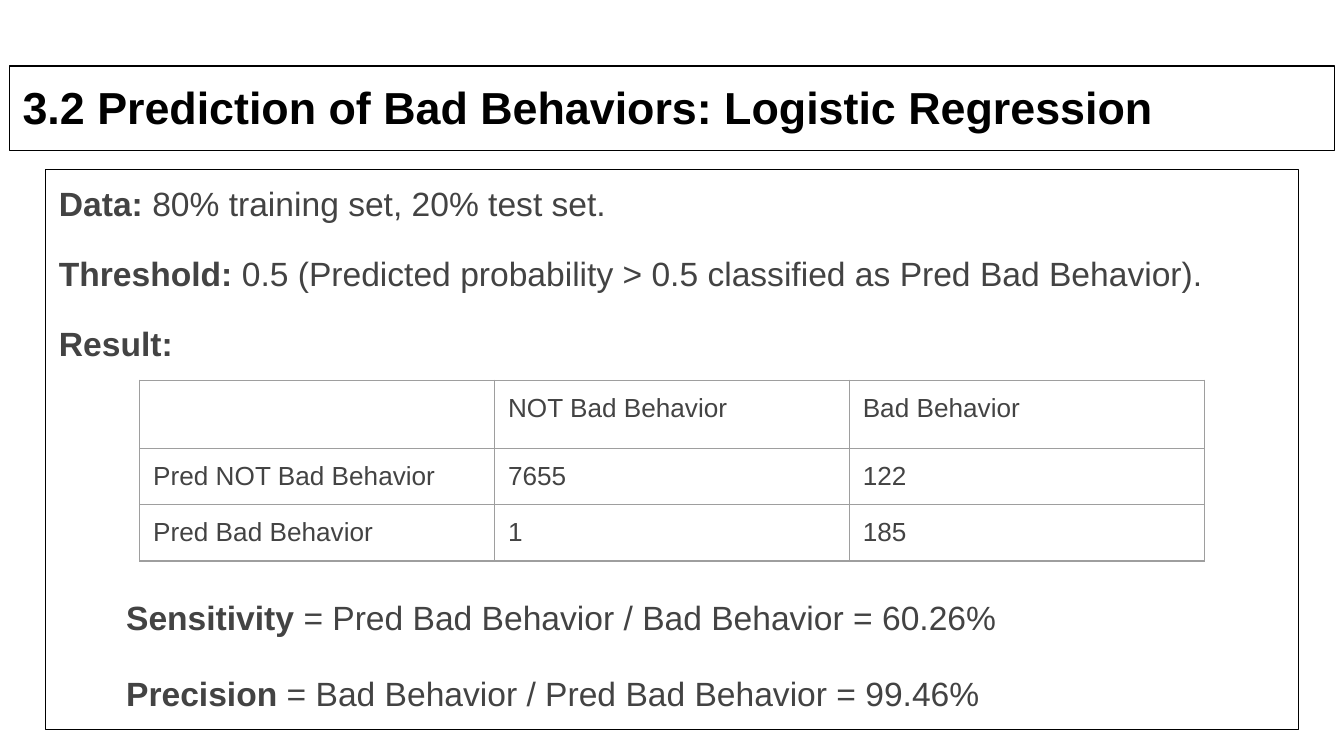
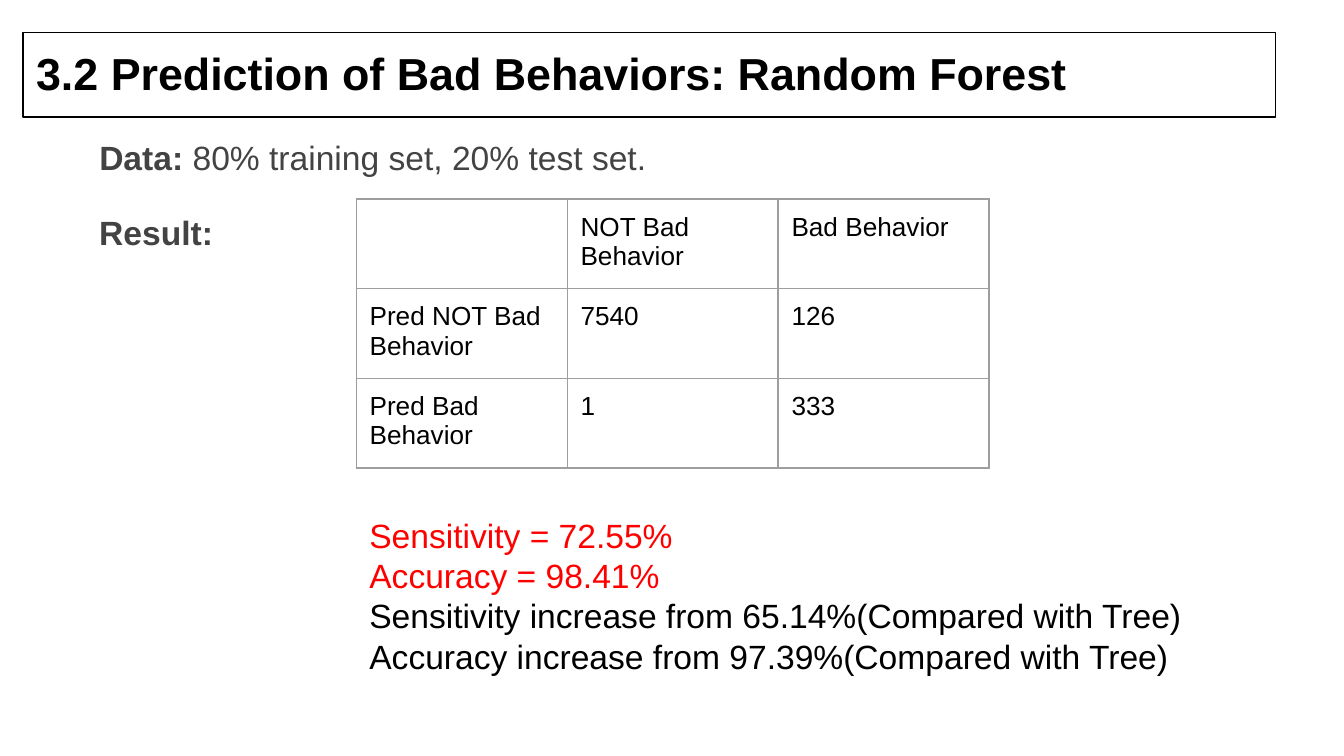
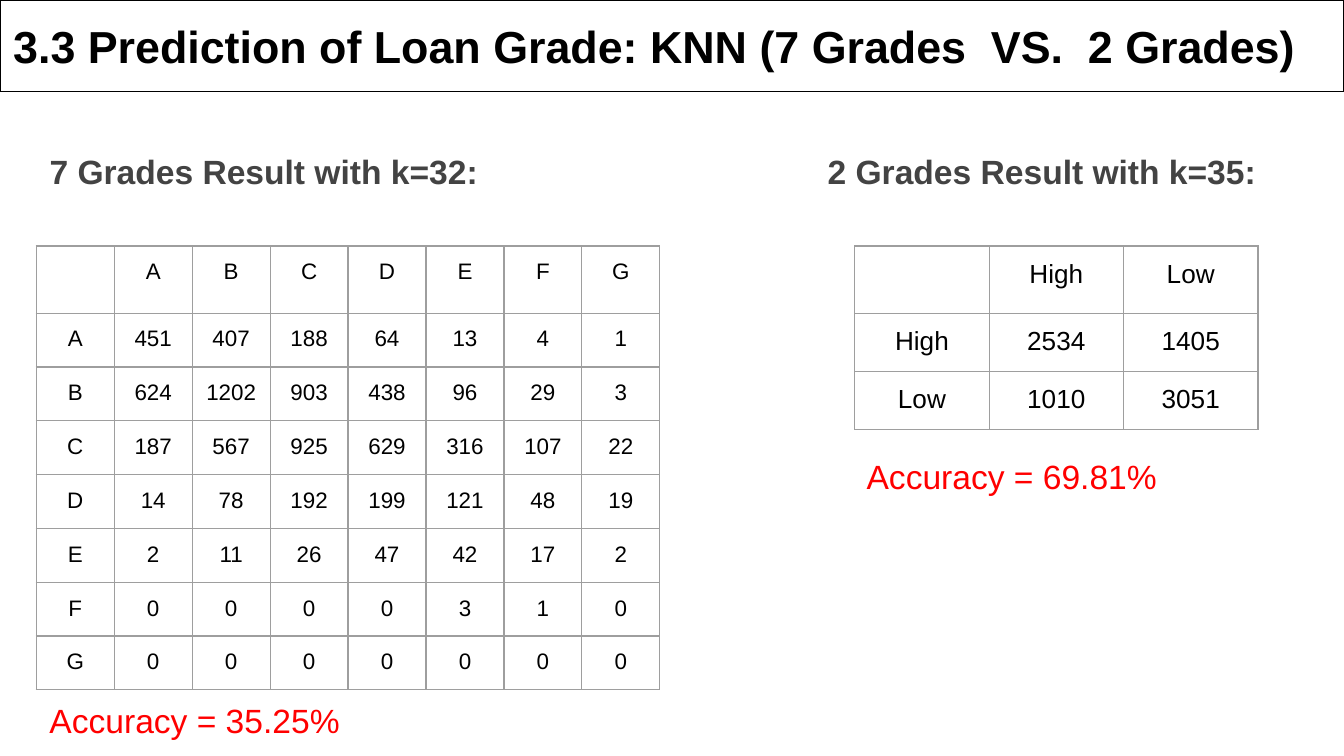
from dataclasses import dataclass

from lxml import etree
from pptx import Presentation
from pptx.dml.color import RGBColor
from pptx.enum.shapes import MSO_SHAPE
from pptx.enum.text import MSO_ANCHOR, PP_ALIGN
from pptx.oxml.ns import qn
from pptx.util import Inches, Pt

RECT = MSO_SHAPE.RECTANGLE
TOP, MIDDLE = MSO_ANCHOR.TOP, MSO_ANCHOR.MIDDLE
LEFT, CENTER = PP_ALIGN.LEFT, PP_ALIGN.CENTER


@dataclass(frozen=True)
class Theme:
    font: str = "Arial"
    black: str = "000000"
    gray: str = "434343"
    red: str = "FF0000"
    grid: str = "9E9E9E"
    title: int = 24
    body: int = 18
    cell: int = 14
    small: int = 12
    line: float = 0.75
    inset: float = 0.1
    table: float = 3.28


THEME = Theme()

# Each paragraph is a pair: bold lead, plain rest.
DATA = ("Data:", " 80% training set, 20% test set.")
RESULT = ("Result:", "")

LOGIT = {
    "title": "3.2 Prediction of Bad Behaviors: Logistic Regression",
    "setup": [
        DATA,
        ("Threshold:", " 0.5 (Predicted probability > 0.5 classified as Pred Bad Behavior)."),
        RESULT,
    ],
    "rates": [
        ("Sensitivity", " = Pred Bad Behavior / Bad Behavior = 60.26%"),
        ("Precision", " = Bad Behavior / Pred Bad Behavior = 99.46%"),
    ],
    "counts": [(7655, 122), (1, 185)],
}

FOREST = {
    "title": "3.2 Prediction of Bad Behaviors: Random Forest",
    "scores": ["Sensitivity = 72.55%", "Accuracy = 98.41%"],
    "gains": [
        "Sensitivity increase from 65.14%(Compared with Tree)",
        "Accuracy increase from 97.39%(Compared with Tree)",
    ],
    "counts": [(7540, 126), (1, 333)],
}

KNN = {
    "title": "3.3 Prediction of Loan Grade: KNN (7 Grades  VS.  2 Grades)",
    "seven": {
        "head": "7 Grades Result with k=32:",
        "score": "Accuracy = 35.25%",
        "names": list("ABCDEFG"),
        "counts": [
            (451, 407, 188, 64, 13, 4, 1),
            (624, 1202, 903, 438, 96, 29, 3),
            (187, 567, 925, 629, 316, 107, 22),
            (14, 78, 192, 199, 121, 48, 19),
            (2, 11, 26, 47, 42, 17, 2),
            (0, 0, 0, 0, 3, 1, 0),
            (0, 0, 0, 0, 0, 0, 0),
        ],
    },
    "two": {
        "head": "2 Grades Result with k=35:",
        "score": "Accuracy = 69.81%",
        "names": ["High", "Low"],
        "counts": [(2534, 1405), (1010, 3051)],
    },
}

BEHAVIOR = ["NOT Bad Behavior", "Bad Behavior"]


def write(frame, paras, *, size=THEME.body, color=THEME.gray, align=LEFT,
          after=0, before=0, indent=0, spacing=None, more=False):
    """Fill a frame with (bold, plain) pairs; more=True adds to what is there."""
    for i, pair in enumerate(paras):
        para = frame.add_paragraph() if i or more else frame.paragraphs[0]
        para.alignment = align
        para.space_after = Pt(after)
        para.space_before = Pt(0 if i else before)
        if spacing:
            para.line_spacing = spacing
        if indent:
            para._p.get_or_add_pPr().set("marL", str(Inches(indent)))
        for text, bold in zip(pair, (True, False)):
            if text:
                run = para.add_run()
                run.text = text
                font = run.font
                font.name, font.size, font.bold = THEME.font, Pt(size), bold
                font.color.rgb = RGBColor.from_string(color)


def place(slide, box, paras, *, frame=False, anchor=TOP, **style):
    """Add a text box, or an outlined rectangle when frame is set."""
    spot = [Inches(n) for n in box]
    if frame:
        shape = slide.shapes.add_shape(RECT, *spot)
        shape.shadow.inherit = False
        shape.fill.background()
        shape.line.color.rgb = RGBColor.from_string(THEME.black)
        shape.line.width = Pt(THEME.line)
    else:
        shape = slide.shapes.add_textbox(*spot)
    text = shape.text_frame
    text.word_wrap = True
    text.vertical_anchor = anchor
    text.margin_left = text.margin_right = Inches(THEME.inset)
    text.margin_top = text.margin_bottom = Inches(THEME.inset)
    write(text, paras, **style)
    return text


def title(slide, box, text, **style):
    place(slide, box, [(text, "")], frame=True, size=THEME.title,
          color=THEME.black, **style)


def border(cell):
    props = cell._tc.get_or_add_tcPr()
    for side in ("lnL", "lnR", "lnT", "lnB"):
        line = etree.SubElement(props, qn("a:" + side), w=str(Pt(THEME.line)))
        fill = etree.SubElement(line, qn("a:solidFill"))
        etree.SubElement(fill, qn("a:srgbClr"), val=THEME.grid)


def matrix(slide, spot, names, counts, *, width, height, prefix="", **style):
    """Draw a confusion matrix; rows grow from height to fit their text."""
    rows = [["", *names]]
    rows += [[prefix + name, *line] for name, line in zip(names, counts)]
    count = len(rows)
    side = Inches(THEME.table)
    holder = slide.shapes.add_table(
        count, count, *(Inches(n) for n in spot), side, side)
    table = holder.table
    table.first_row = table.horz_banding = False
    for col in table.columns:
        col.width = Inches(width)
    for i, row in enumerate(rows):
        table.rows[i].height = Inches(height)
        for j, value in enumerate(row):
            cell = table.cell(i, j)
            cell.margin_left = cell.margin_right = Inches(THEME.inset)
            cell.margin_top = cell.margin_bottom = Inches(THEME.inset)
            border(cell)
            cell.fill.background()
            write(cell.text_frame, [("", str(value))], **style)
    holder.width = holder.height = side


def logit(slide):
    title(slide, (0.07, 0.49, 9.86, 0.63), LOGIT["title"])
    body = place(slide, (0.34, 1.26, 9.32, 4.17), LOGIT["setup"], frame=True, after=16)
    write(body, LOGIT["rates"], more=True, before=106, after=16, indent=0.5, spacing=1.15)
    matrix(slide, (1.04, 2.83), BEHAVIOR, LOGIT["counts"], prefix="Pred ",
           width=2.64, height=0.42, size=THEME.cell)


def forest(slide):
    left = 2.65
    title(slide, (0.17, 0.24, 9.32, 0.63), FOREST["title"])
    notes = place(slide, (left, 3.73, 6.53, 1.54),
                  [("", text) for text in FOREST["scores"]], color=THEME.red)
    write(notes, [("", text) for text in FOREST["gains"]], more=True, color=THEME.black)
    matrix(slide, (left, 1.48), BEHAVIOR, FOREST["counts"], prefix="Pred ",
           width=1.57, height=0.25, size=THEME.cell, color=THEME.black)
    place(slide, (0.64, 1.48, 1.6, 0.56), [RESULT])
    place(slide, (0.64, 0.92, 5.69, 0.42), [DATA], after=16)


def knn(slide):
    plans = [
        ("seven", (0.27, 1.02, 4.35, 0.63), 0.27, 0.58, 0.37, THEME.small, (0.27, 5.11, 3.1, 0.42)),
        ("two", (6.06, 1.02, 3.6, 0.64), 6.36, 1, 0.38, THEME.cell, (6.35, 3.29, 3.1, 0.33)),
    ]
    for key, head, left, width, height, size, score in plans:
        part = KNN[key]
        matrix(slide, (left, 1.83), part["names"], part["counts"], width=width,
               height=height, size=size, color=THEME.black, align=CENTER)
        place(slide, score, [("", part["score"])], color=THEME.red)
        place(slide, head, [(part["head"], "")])
    title(slide, (0, 0, 10, 0.68), KNN["title"], anchor=MIDDLE)


def main():
    deck = Presentation()
    deck.slide_width = Inches(10)
    deck.slide_height = deck.slide_width * 9 // 16
    blank = deck.slide_layouts[6]
    for draw in (logit, forest, knn):
        draw(deck.slides.add_slide(blank))
    deck.save("out.pptx")


if __name__ == "__main__":
    main()
